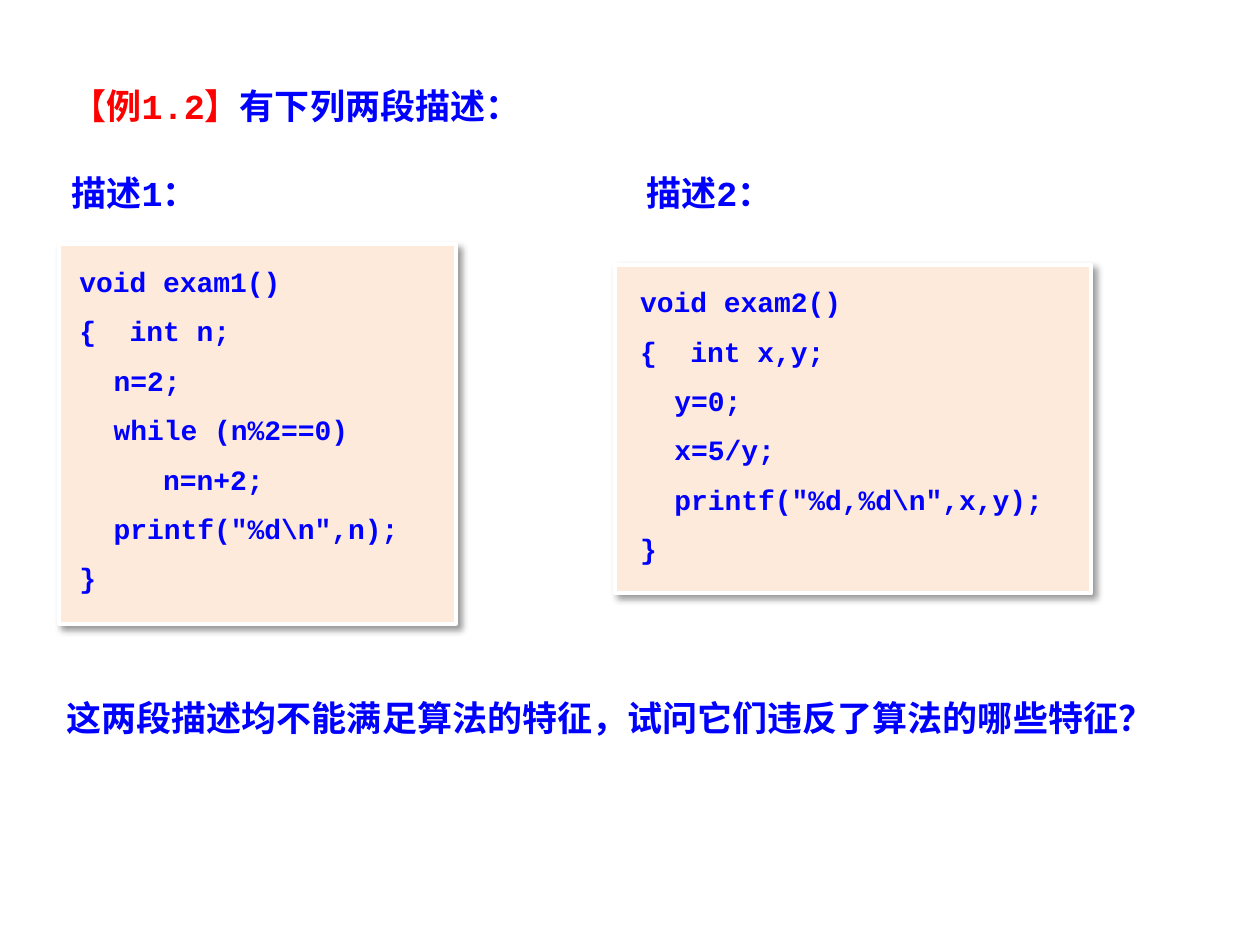
from dataclasses import dataclass
from lxml import etree
from pptx import Presentation
from pptx import util as u
from pptx.dml.color import RGBColor
from pptx.enum import lang, shapes, text
from pptx.oxml.ns import qn

COLORS = {"red": "FF0000", "blue": "0000FF", "peach": "FDEADA", "white": "FFFFFF", "black": "000000"}
CODE_FONT = "Courier New"
CHINESE = lang.MSO_LANGUAGE_ID.SIMPLIFIED_CHINESE


@dataclass(frozen=True)
class Box:
    left: float
    top: float
    width: float
    height: float

    def lengths(self) -> list:
        return [u.Inches(v) for v in (self.left, self.top, self.width, self.height)]


@dataclass(frozen=True)
class Listing:
    box: Box
    inset: float
    code: str


LABELS = [("描述1：", Box(0.47, 1.31, 2, 0.44)), ("描述2：", Box(5.03, 1.31, 2, 0.44))]

LISTINGS = [
    Listing(Box(0.47, 1.94, 3.15, 3.01), 0.16, r'''void exam1()
{  int n;
　 n=2;
　 while (n%2==0)
　　　n=n+2;
　 printf("%d\n",n);
}'''),
    Listing(Box(4.88, 2.1, 3.78, 2.61), 0.2, r'''void exam2()
{  int x,y;
　 y=0;
　 x=5/y;
　 printf("%d,%d\n",x,y);
}'''),
]


def rgb(name: str) -> RGBColor:
    return RGBColor.from_string(COLORS[name])


def write(paragraph, words: str, *, size: int = 20, color: str = "blue",
          font: str = CODE_FONT, language=None) -> None:
    run = paragraph.add_run()
    run.text = words
    run.font.size = u.Pt(size)
    run.font.bold = True
    run.font.name = font
    run.font.color.rgb = rgb(color)
    if language is not None:
        run.font.language_id = language


def add_line(slide, box: Box):
    frame = slide.shapes.add_textbox(*box.lengths()).text_frame
    frame.word_wrap = True
    return frame.paragraphs[0]


def add_shadow(panel) -> None:
    panel.shadow.inherit = False
    effects = panel._element.spPr.find(qn("a:effectLst"))
    shadow = etree.SubElement(effects, qn("a:outerShdw"), blurRad=str(u.Pt(4)),
                              dist=str(u.Pt(3)), dir="2700000", algn="tl", rotWithShape="0")
    tint = etree.SubElement(shadow, qn("a:srgbClr"), val=COLORS["black"])
    etree.SubElement(tint, qn("a:alpha"), val="40000")


def add_listing(slide, listing: Listing) -> None:
    panel = slide.shapes.add_shape(shapes.MSO_SHAPE.RECTANGLE, *listing.box.lengths())
    panel.fill.solid()
    panel.fill.fore_color.rgb = rgb("peach")
    panel.line.color.rgb = rgb("white")
    panel.line.width = u.Pt(2.25)
    add_shadow(panel)
    frame = panel.text_frame
    frame.word_wrap = True
    frame.vertical_anchor = text.MSO_ANCHOR.TOP
    frame.margin_left = u.Inches(listing.inset)
    frame.margin_top = frame.margin_bottom = u.Inches(0.16)
    for index, code_line in enumerate(listing.code.splitlines()):
        paragraph = frame.add_paragraph() if index else frame.paragraphs[0]
        paragraph.alignment = text.PP_ALIGN.LEFT
        if index:
            paragraph.space_before = u.Pt(9)
        write(paragraph, code_line, size=16)


def main() -> None:
    deck = Presentation()
    deck.slide_width, deck.slide_height = u.Inches(10), u.Inches(7.5)
    slide = deck.slides.add_slide(deck.slide_layouts[6])

    heading = add_line(slide, Box(0.47, 0.62, 4.53, 0.44))
    write(heading, "【例1.2】", color="red", language=CHINESE)
    write(heading, "有下列两段描述：", language=CHINESE)
    for label, box in LABELS:
        write(add_line(slide, box), label)
    for listing in LISTINGS:
        add_listing(slide, listing)
    question = add_line(slide, Box(0.43, 5.48, 9.06, 0.44))
    write(question, "这两段描述均不能满足算法的特征，试问它们违反了算法的哪些特征？",
          font="Times New Roman", language=CHINESE)

    deck.save("out.pptx")


if __name__ == "__main__":
    main()
